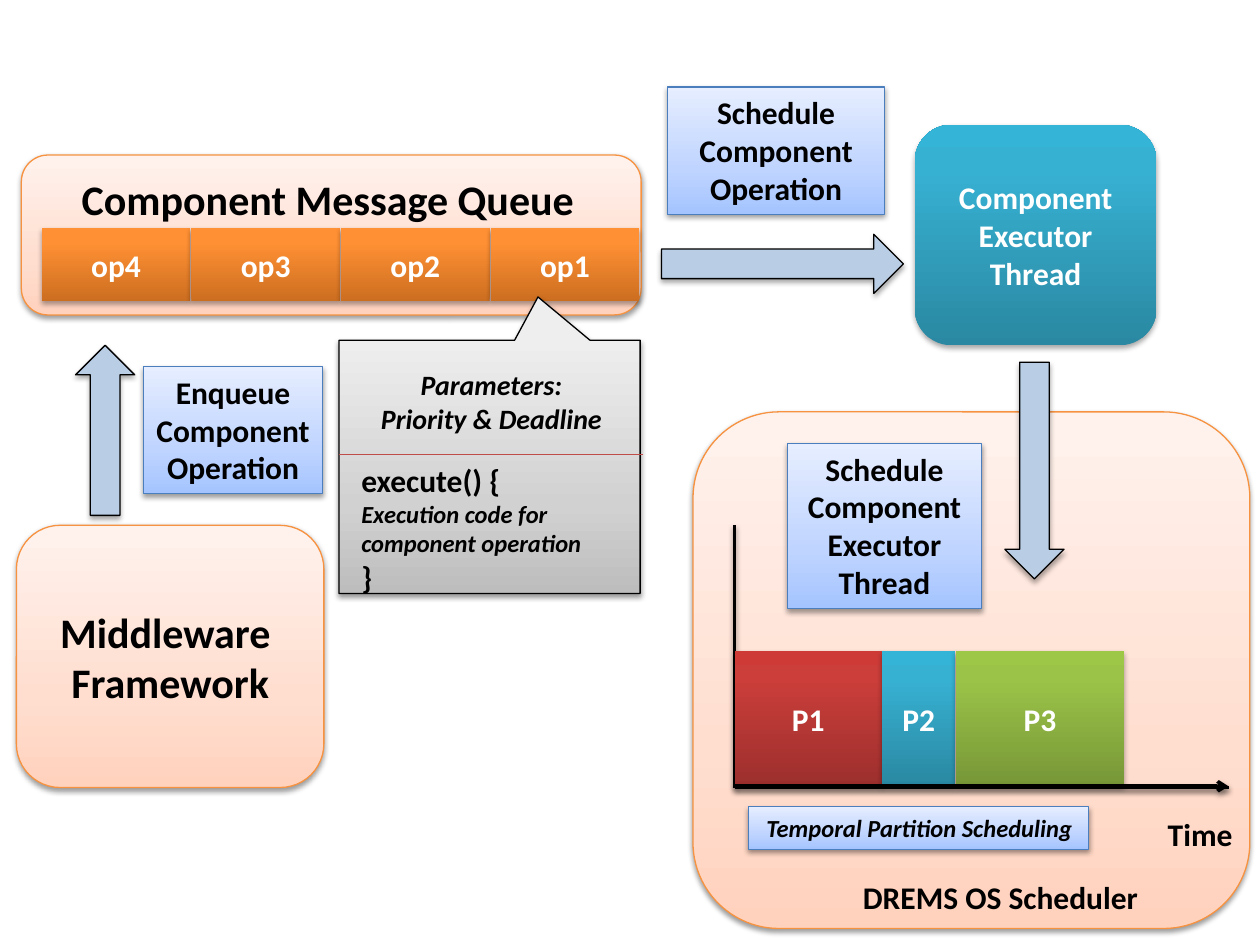
"""Build the slide on component operation scheduling, from message queue to partitions."""
import pptx
import pptx.util
import pptx.dml.color
import pptx.enum.shapes
import pptx.enum.text
import pptx.oxml
import pptx.oxml.ns

Pt = pptx.util.Pt
qn = pptx.oxml.ns.qn
color = pptx.dml.color.RGBColor.from_string
KIND = pptx.enum.shapes.MSO_SHAPE
ALIGN = pptx.enum.text.PP_ALIGN
ANCHOR = pptx.enum.text.MSO_ANCHOR
NS = pptx.oxml.ns.nsdecls("a")

# style: gradient stops from the bottom up, line colour, shadow opacity and distance
LIGHT, STRONG = (38, 1.6), (35, 1.8)
STYLES = {
    "peach": ([(0, "FFD2BD"), (35, "FFDED0"), (100, "FFF2ED")], "F69240", LIGHT),
    "label": ([(0, "A4C4FF"), (35, "BFD4FF"), (100, "E6EEFF")], "4B7EBC", LIGHT),
    "grey": ([(0, "BDBDBD"), (35, "D1D1D1"), (100, "EEEEEE")], "000000", LIGHT),
    "orange": ([(0, "CC6E20"), (80, "FF9034"), (100, "FF9136")], None, STRONG),
    "teal": ([(0, "2A88A2"), (80, "37B1D2"), (100, "34B4D6")], None, STRONG),
    "red": ([(0, "9C2F2D"), (80, "CB3E3A"), (100, "CE3B37")], None, STRONG),
    "green": ([(0, "779737"), (80, "9BC348"), (100, "9DC746")], None, STRONG),
    "arrow": ([(0, "B9CDE5")], "000000", STRONG),
}


def cast_shadow(shape, opacity, distance):
    effects = pptx.oxml.parse_xml(
        f'<a:effectLst {NS}><a:outerShdw blurRad="{Pt(3.1)}" dist="{Pt(distance)}" '
        f'dir="5400000" rotWithShape="0"><a:srgbClr val="000000">'
        f'<a:alpha val="{opacity * 1000}"/></a:srgbClr></a:outerShdw></a:effectLst>')
    for old in shape._element.spPr.findall(qn("a:effectLst")):
        shape._element.spPr.remove(old)
    shape._element.spPr.append(effects)


def write(box, lines, align, anchor, ink, inset, size=18, italic=False):
    frame = box.text_frame
    settings = {"word_wrap": True, "vertical_anchor": anchor,
                "margin_left": Pt(inset), "margin_right": Pt(inset)}
    for name, value in settings.items():
        setattr(frame, name, value)
    for index, line in enumerate(lines):
        text, changes = line if isinstance(line, tuple) else (line, {})
        para = frame.paragraphs[0] if index == 0 else frame.add_paragraph()
        para.alignment = align
        span = para.add_run()
        span.text = text
        font = {"name": "Calibri", "size": Pt(size), "bold": True, "italic": italic}
        for name, value in {**font, **changes}.items():
            setattr(span.font, name, value)
        span.font.color.rgb = color(ink)


deck = pptx.Presentation()
deck.slide_width, deck.slide_height = Pt(720), Pt(540)
page = deck.slides.add_slide(deck.slide_layouts[6])

RECT, ROUND, ARROW = KIND.RECTANGLE, KIND.ROUNDED_RECTANGLE, KIND.RIGHT_ARROW
CALLOUT = KIND.RECTANGULAR_CALLOUT
operations = [(RECT, 23.8 + 85.5 * i, 130.3, 85, 41.8, "orange", [f"op{4 - i}"], {})
              for i in range(4)]
partitions = [(RECT, left, 372.2, width, 77, style, [f"P{i}"], {})
              for i, (left, width, style) in enumerate(
                  [(419.8, 84.2, "red"), (504, 42, "teal"), (546.4, 95.8, "green")], 1)]
code_lines = ["execute() {",
              ("Execution code for component operation", {"size": Pt(14), "italic": True}),
              "}"]

# kind, left, top, width, height, style, lines, options; "line" has its two ends instead
parts = [
    (ROUND, 396, 235.4, 318.2, 295.2, "peach", [], {}),
    (ROUND, 12.2, 88.6, 354.2, 91.4, "peach", [], {}),
    *operations,
    (ROUND, 522.7, 71.3, 138.2, 126, "teal", ["Component Executor", "Thread"], {}),
    (ARROW, 378, 133.9, 138.2, 33.8, "arrow", [], {}),
    ("text", 39.6, 95.8, 318.2, 36, None, ["Component Message Queue"], {"size": 24}),
    (RECT, 381.6, 49.7, 123.8, 72.7, "label", ["Schedule Component Operation"], {}),
    (CALLOUT, 193.7, 194.4, 172.1, 144.7, "grey", [], {"tip": (0.161, -0.671)}),
    ("text", 196.6, 206.6, 168.5, 46.1, None, ["Parameters:", "Priority & Deadline"],
     {"size": 16, "italic": True, "align": ALIGN.CENTER}),
    ("text", 199.4, 259.9, 162.7, 85, None, code_lines, {}),
    ("line", 193.7, 259.9, 367.2, 259.9, "BF4C48", 0.75, None),
    (ARROW, 529.2, 252, 123.8, 33.8, "arrow", [], {"turn": 90}),
    ("line", 419.8, 300.2, 419.8, 450, "000000", 2, None),
    ("line", 702, 450, 419.8, 450, "000000", 2, None),
    *partitions,
    (RECT, 450, 253.4, 110.9, 94.3, "label", ["Schedule Component Executor Thread"], {}),
    ("line", 419.8, 449.3, 702, 449.3, "000000", 2, "arrow"),
    ("text", 660.2, 462.2, 54, 28.8, None, ["Time"], {}),
    (RECT, 427.7, 460.8, 194.4, 24.5, "label", [" Temporal Partition Scheduling"],
     {"size": 14, "italic": True, "align": ALIGN.LEFT, "inset": 7.2}),
    (ROUND, 9.4, 300.2, 175.7, 149.8, "peach", ["Middleware ", "Framework"],
     {"size": 24, "anchor": ANCHOR.MIDDLE}),
    (ARROW, 11.5, 229, 97.2, 33.8, "arrow", [], {"turn": 270}),
    (RECT, 82.1, 209.5, 102.2, 72.7, "label", ["Enqueue Component Operation"], {}),
    ("text", 486, 498.2, 174.2, 28.8, None, ["DREMS OS Scheduler"], {}),
]

for kind, *numbers, style, lines, options in parts:
    place = [Pt(number) for number in numbers]
    if kind == "line":
        rule = page.shapes.add_connector(pptx.enum.shapes.MSO_CONNECTOR.STRAIGHT, *place)
        rule.line.color.rgb, rule.line.width = color(style), Pt(lines)
        if options:
            rule.line._get_or_add_ln().append(
                pptx.oxml.parse_xml(f'<a:tailEnd {NS} type="{options}"/>'))
        if lines == 2:
            cast_shadow(rule, *LIGHT)
        else:
            rule._element.spPr.append(pptx.oxml.parse_xml(f"<a:effectLst {NS}/>"))
        continue
    if kind == "text":
        box = page.shapes.add_textbox(*place)
        defaults = {"align": ALIGN.LEFT, "anchor": ANCHOR.TOP, "ink": "000000", "inset": 7.2}
    else:
        box = page.shapes.add_shape(kind, *place)
        stops, edge, shade = STYLES[style]
        if len(stops) == 1:
            box.fill.solid()
            box.fill.fore_color.rgb = color(stops[0][1])
        else:
            box.fill.gradient()
            box.fill.gradient_angle = 90
            stop_list = box._element.spPr.find(qn("a:gradFill")).find(qn("a:gsLst"))
            for old in list(stop_list):
                stop_list.remove(old)
            for percent, tone in stops:
                stop_list.append(pptx.oxml.parse_xml(
                    f'<a:gs {NS} pos="{percent * 1000}"><a:srgbClr val="{tone}"/></a:gs>'))
        if edge:
            box.line.color.rgb, box.line.width = color(edge), Pt(0.75)
        else:
            box.line.fill.background()
        cast_shadow(box, *shade)
        box.rotation = options.get("turn", 0)
        for index, value in enumerate(options.get("tip", ())):
            box.adjustments[index] = value
        defaults = {"align": ALIGN.CENTER, "inset": 4,
                    "anchor": ANCHOR.TOP if style == "label" else ANCHOR.MIDDLE,
                    "ink": "000000" if style in ("label", "peach") else "FFFFFF"}
    if lines:
        write(box, lines, **{**defaults, **options})

deck.save("out.pptx")
